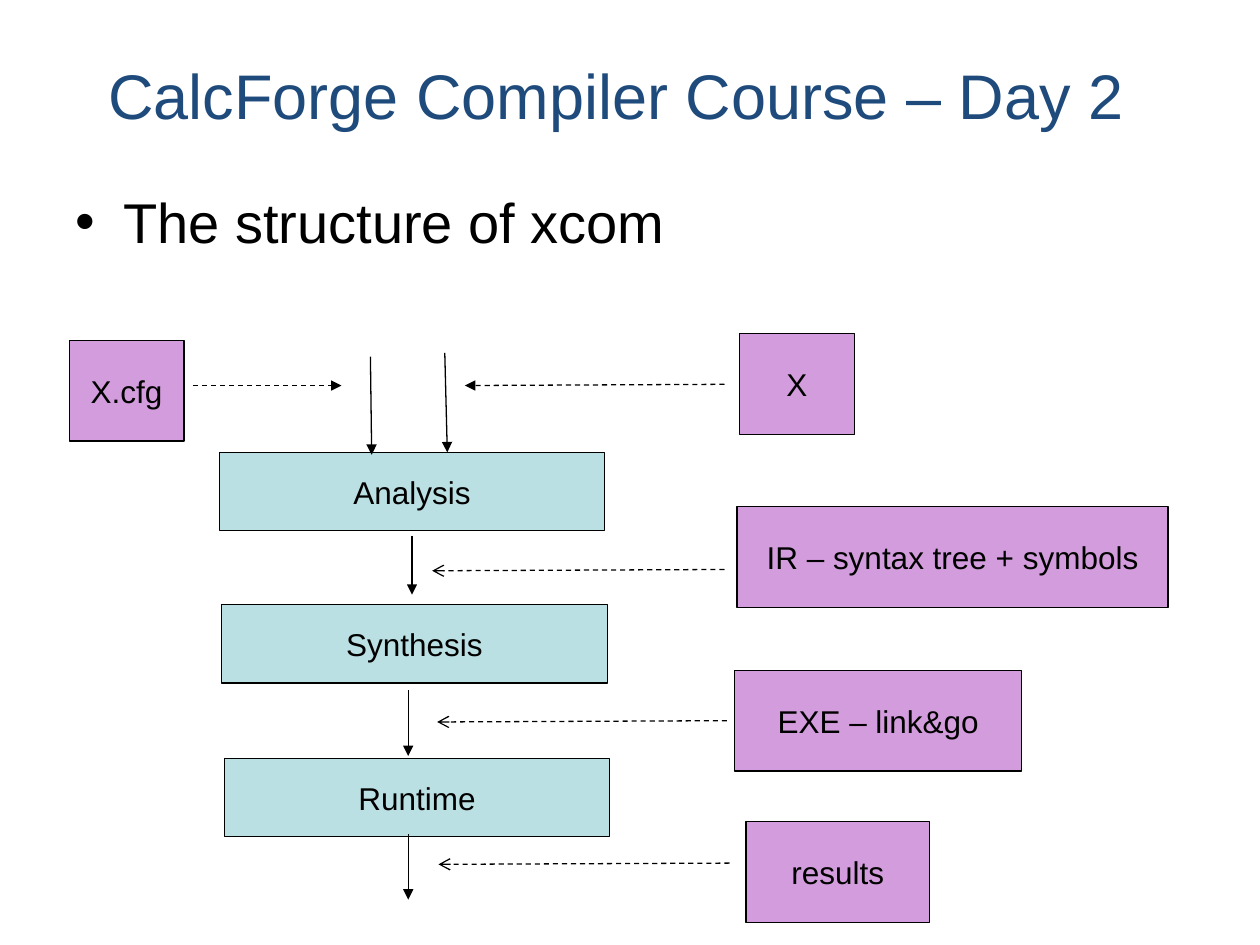
import pptx
import pptx.dml.color
import pptx.enum.dml
import pptx.enum.shapes
import pptx.enum.text
import pptx.oxml.ns
import pptx.util
import lxml.etree

Inches = pptx.util.Inches
RGBColor = pptx.dml.color.RGBColor
Align = pptx.enum.text.PP_ALIGN
Anchor = pptx.enum.text.MSO_ANCHOR

BLACK = RGBColor(0x00, 0x00, 0x00)
TITLE_BLUE = RGBColor(0x1E, 0x4B, 0x7C)
STAGE_TEAL = RGBColor(0xBB, 0xE0, 0xE3)
DATA_PURPLE = RGBColor(0xD3, 0x9C, 0xDC)
LINE_WIDTH = pptx.util.Pt(0.75)


def write_text(shape, text, size=18, color=BLACK, align=Align.CENTER, anchor=Anchor.MIDDLE, wrap=False):
    frame = shape.text_frame
    frame.auto_size = pptx.enum.text.MSO_AUTO_SIZE.NONE
    frame.word_wrap = wrap
    frame.vertical_anchor = anchor
    frame.margin_left = frame.margin_right = Inches(0.1)
    frame.margin_top = frame.margin_bottom = Inches(0.05)
    paragraph = frame.paragraphs[0]
    paragraph.alignment = align
    run = paragraph.add_run()
    run.text = text
    run.font.name = "Arial"
    run.font.size = pptx.util.Pt(size)
    run.font.color.rgb = color
    return paragraph


def add_child(parent, tag, **attributes):
    return lxml.etree.SubElement(parent, pptx.oxml.ns.qn(tag), **attributes)


presentation = pptx.Presentation()
presentation.slide_width = Inches(10)
presentation.slide_height = Inches(7.5)
slide = presentation.slides.add_slide(presentation.slide_layouts[5])
shapes = slide.shapes

title = shapes.title
title.left, title.top = Inches(0.76), Inches(0.4)
title.width, title.height = Inches(8.48), Inches(0.7)
write_text(title, "CalcForge Compiler Course – Day 2", size=36, color=TITLE_BLUE,
           align=Align.LEFT, anchor=Anchor.TOP)

body = shapes.add_textbox(Inches(0.5), Inches(1.44), Inches(9.15), Inches(5.56))
bullet = write_text(body, "The structure of xcom", size=32, align=Align.LEFT,
                    anchor=Anchor.TOP, wrap=True)
bullet.space_before = pptx.util.Pt(8)
bullet_format = bullet._p.get_or_add_pPr()
bullet_format.set("marL", str(Inches(0.38)))
bullet_format.set("indent", str(-Inches(0.38)))
add_child(bullet_format, "a:buFont", typeface="Arial")
add_child(bullet_format, "a:buChar", char="•")

boxes = [
    ("Analysis", 1.74, 3.59, 3.06, 0.62, STAGE_TEAL),
    ("Synthesis", 1.76, 4.8, 3.06, 0.62, STAGE_TEAL),
    ("Runtime", 1.78, 6.02, 3.06, 0.62, STAGE_TEAL),
    ("X.cfg", 0.55, 2.7, 0.91, 0.8, DATA_PURPLE),
    ("X", 5.87, 2.65, 0.91, 0.8, DATA_PURPLE),
    ("IR – syntax tree + symbols", 5.85, 4.02, 3.42, 0.8, DATA_PURPLE),
    ("EXE – link&go", 5.83, 5.32, 2.28, 0.8, DATA_PURPLE),
    ("results", 5.92, 6.52, 1.46, 0.8, DATA_PURPLE),
]
for text, left, top, width, height, color in boxes:
    box = shapes.add_shape(pptx.enum.shapes.MSO_SHAPE.RECTANGLE,
                           Inches(left), Inches(top), Inches(width), Inches(height))
    box.shadow.inherit = False
    box.fill.solid()
    box.fill.fore_color.rgb = color
    box.line.color.rgb = BLACK
    box.line.width = LINE_WIDTH
    write_text(box, text)

arrows = [
    (2.94, 2.83, 2.95, 3.61, False, "triangle"),
    (3.53, 2.8, 3.55, 3.59, False, "triangle"),
    (3.27, 4.25, 3.27, 4.72, False, "triangle"),
    (3.24, 5.48, 3.24, 6, False, "triangle"),
    (3.24, 6.62, 3.24, 7.14, False, "triangle"),
    (1.53, 3.06, 2.71, 3.06, True, "triangle"),
    (5.75, 3.05, 3.69, 3.06, True, "triangle"),
    (5.75, 4.52, 3.43, 4.53, True, "arrow"),
    (5.77, 5.72, 3.47, 5.73, True, "arrow"),
    (5.79, 6.85, 3.48, 6.86, True, "arrow"),
]
for start_x, start_y, end_x, end_y, dashed, arrowhead in arrows:
    arrow = shapes.add_connector(pptx.enum.shapes.MSO_CONNECTOR.STRAIGHT,
                                 Inches(start_x), Inches(start_y), Inches(end_x), Inches(end_y))
    arrow.line.color.rgb = BLACK
    arrow.line.width = LINE_WIDTH
    if dashed:
        arrow.line.dash_style = pptx.enum.dml.MSO_LINE.DASH
    add_child(arrow.line._get_or_add_ln(), "a:tailEnd", type=arrowhead)
    add_child(arrow._element.spPr, "a:effectLst")

presentation.save("out.pptx")
